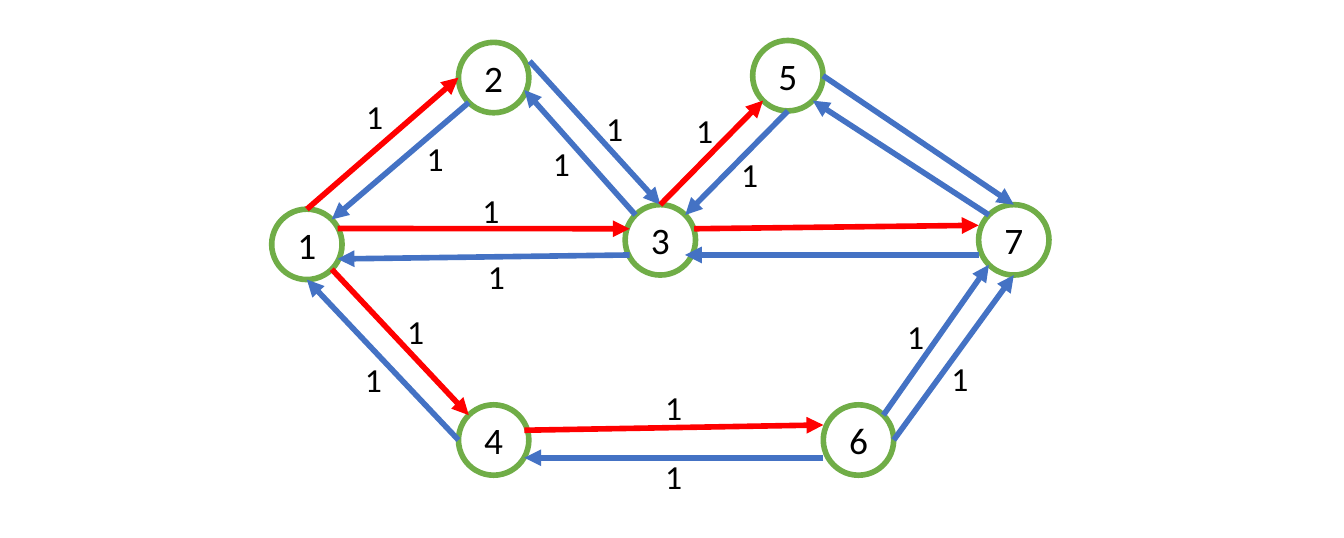
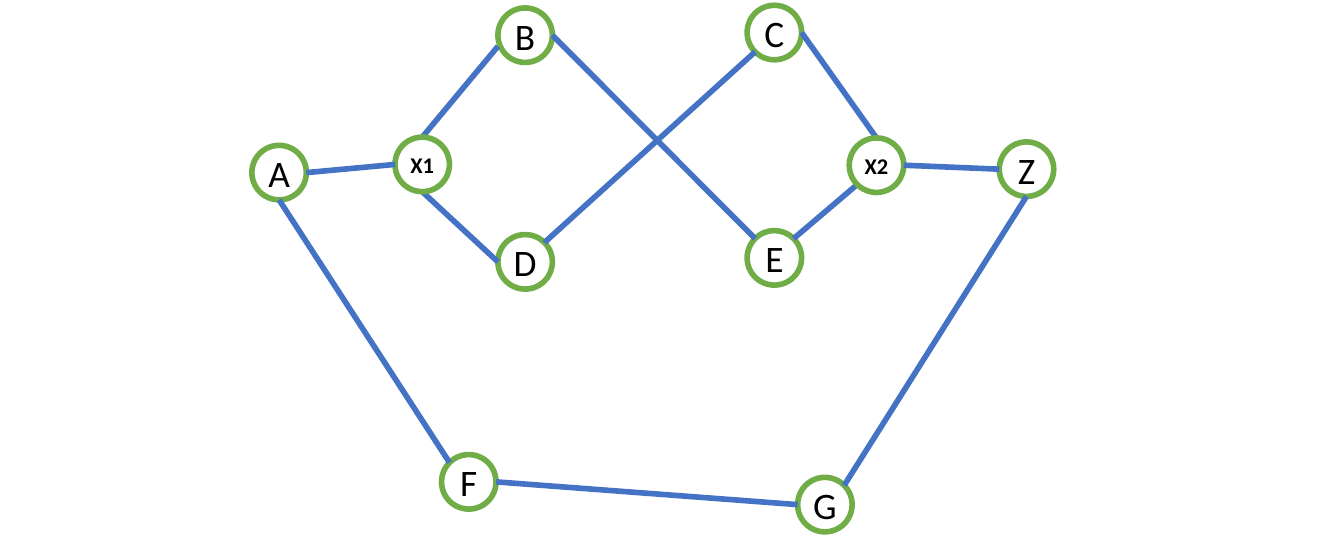
from dataclasses import dataclass
from math import sqrt

from lxml import etree
from pptx import Presentation
from pptx.dml.color import RGBColor
from pptx.enum import shapes, text
from pptx.oxml.ns import qn
from pptx import util as u


@dataclass(frozen=True)
class Theme:
    font: str = "Calibri"
    ink: RGBColor = RGBColor(0x00, 0x00, 0x00)
    paper: RGBColor = RGBColor(0xFF, 0xFF, 0xFF)
    ring: RGBColor = RGBColor(0x70, 0xAD, 0x47)
    blue: RGBColor = RGBColor(0x44, 0x72, 0xC4)
    red: RGBColor = RGBColor(0xFF, 0x00, 0x00)
    stroke: float = 6
    node_size: float = 40
    small_node_size: float = 24
    label_size: float = 36


THEME = Theme()

# Unit directions from a node's centre to the points on its ring
DIAGONAL = 1 / sqrt(2)
COMPASS = {
    "n": (0, -1), "ne": (DIAGONAL, -DIAGONAL),
    "e": (1, 0), "se": (DIAGONAL, DIAGONAL),
    "s": (0, 1), "sw": (-DIAGONAL, DIAGONAL),
    "w": (-1, 0), "nw": (-DIAGONAL, -DIAGONAL),
}

# Weighted graph: node centres in cm
WEIGHTED_RADIUS = 1.33
WEIGHTED_NODES = {
    "2": (18.66, 2.93), "7": (38.32, 9.06), "3": (24.96, 9.06),
    "4": (18.66, 16.62), "5": (29.78, 2.86), "1": (11.6, 9.23),
    "6": (32.45, 16.62),
}
# Start, its exit, end, its entry, colour, corner of the weight label.
# An exit or entry is a compass point or an offset from the centre in cm.
WEIGHTED_EDGES = [
    ("3", (1.28, -0.42), "7", (-1.33, -0.55), THEME.red, None),
    ("1", (1.16, -0.6), "3", (-1.16, -0.42), THEME.red, (17.98, 7.06)),
    ("3", (-1.16, 0.57), "1", (1.16, 0.55), THEME.blue, (18.19, 9.53)),
    ("7", (-1.33, 0.57), "3", (0.93, 0.57), THEME.blue, None),
    ("5", "e", "7", "n", THEME.blue, None),
    ("7", "nw", "5", "se", THEME.blue, None),
    ("2", (1.36, -0.62), "3", "n", THEME.blue, (22.66, 3.94)),
    ("3", "nw", "2", (1.16, 0.47), THEME.blue, (20.65, 5.26)),
    ("1", "n", "2", "w", THEME.red, (13.59, 3.51)),
    ("2", "sw", "1", "ne", THEME.blue, (15.88, 5.08)),
    ("1", "se", "4", "nw", THEME.red, (15.14, 11.63)),
    ("4", "w", "1", "s", THEME.blue, (13.54, 13.44)),
    ("4", (1.16, -0.37), "6", (-1.33, -0.57), THEME.red, (24.89, 14.5)),
    ("6", (-1.33, 0.67), "4", (1.16, 0.67), THEME.blue, (24.89, 17.09)),
    ("6", "ne", "7", "sw", THEME.blue, (34.04, 11.81)),
    ("6", "e", "7", "s", THEME.blue, (35.71, 13.41)),
    ("3", "n", "5", "sw", THEME.red, (26.06, 4.01)),
    ("5", "s", "3", "ne", THEME.blue, (27.76, 5.69)),
]

# Lettered graph: outer nodes, and two crossings drawn above their edges
LETTER_RADIUS = 1.03
LETTER_NODES = {
    "B": (19.85, 1.33), "E": (29.27, 9.74), "D": (19.85, 9.89),
    "A": (10.55, 6.52), "Z": (38.8, 6.39), "C": (29.27, 1.23),
    "F": (17.72, 18.2), "G": (31.18, 19.06),
}
CROSSING_NODES = {"X1": (15.96, 6.21), "X2": (33.13, 6.24)}
LETTER_EDGES = [
    ("X1", "n", "B", (-1.03, 0.42)), ("X1", "s", "D", "w"),
    ("B", "e", "E", "nw"), ("D", "ne", "C", "sw"),
    ("C", "e", "X2", "n"), ("E", "ne", "X2", "sw"),
    ("A", "s", "F", "nw"), ("F", "e", "G", "w"), ("G", "ne", "Z", "s"),
]
CROSSING_EDGES = [("A", "e", "X1", "w"), ("X2", "e", "Z", "w")]


def write(frame, words, size, align, bold=False):
    para = frame.paragraphs[0]
    para.text = words
    para.alignment = align
    para.font.name = THEME.font
    para.font.size = u.Pt(size)
    para.font.bold = bold
    para.font.color.rgb = THEME.ink


def add_nodes(page, nodes, radius, size=THEME.node_size, bold=False):
    for name, (x, y) in nodes.items():
        circle = page.shapes.add_shape(
            shapes.MSO_SHAPE.OVAL, u.Cm(x - radius), u.Cm(y - radius),
            u.Cm(2 * radius), u.Cm(2 * radius))
        circle.shadow.inherit = False
        circle.fill.solid()
        circle.fill.fore_color.rgb = THEME.paper
        circle.line.color.rgb = THEME.ring
        circle.line.width = u.Pt(THEME.stroke)
        circle.text_frame.vertical_anchor = text.MSO_ANCHOR.MIDDLE
        write(circle.text_frame, name, size, text.PP_ALIGN.CENTER, bold)


def edge_point(centre, radius, side):
    """Return the point that a compass name or an offset marks on a node."""
    if side in COMPASS:
        side = [radius * part for part in COMPASS[side]]
    return [u.Cm(middle + shift) for middle, shift in zip(centre, side)]


def add_edge(page, nodes, radius, edge, color=THEME.blue, arrow=False):
    start, leaving, end, entering = edge
    line = page.shapes.add_connector(
        shapes.MSO_CONNECTOR.STRAIGHT,
        *edge_point(nodes[start], radius, leaving),
        *edge_point(nodes[end], radius, entering))
    line.line.color.rgb = color
    line.line.width = u.Pt(THEME.stroke)
    if arrow:
        etree.SubElement(line.line._get_or_add_ln(), qn("a:tailEnd"), type="triangle")
    etree.SubElement(line._element.spPr, qn("a:effectLst"))


def add_weight(page, left, top):
    box = page.shapes.add_textbox(u.Cm(left), u.Cm(top), u.Cm(1.17), u.Cm(1.8))
    box.text_frame.word_wrap = False
    box.text_frame.auto_size = text.MSO_AUTO_SIZE.SHAPE_TO_FIT_TEXT
    write(box.text_frame, "1", THEME.label_size, text.PP_ALIGN.LEFT)


def add_weighted_graph(page):
    add_nodes(page, WEIGHTED_NODES, WEIGHTED_RADIUS)
    for *edge, color, _ in WEIGHTED_EDGES:
        add_edge(page, WEIGHTED_NODES, WEIGHTED_RADIUS, edge, color, arrow=True)
    for *_, corner in WEIGHTED_EDGES:
        if corner:
            add_weight(page, *corner)


def add_lettered_graph(page):
    nodes = {**LETTER_NODES, **CROSSING_NODES}
    add_nodes(page, LETTER_NODES, LETTER_RADIUS)
    for edge in LETTER_EDGES:
        add_edge(page, nodes, LETTER_RADIUS, edge)
    add_nodes(page, CROSSING_NODES, LETTER_RADIUS, THEME.small_node_size, bold=True)
    for edge in CROSSING_EDGES:
        add_edge(page, nodes, LETTER_RADIUS, edge)


def main():
    deck = Presentation()
    deck.slide_width, deck.slide_height = u.Cm(50.8), u.Cm(20.32)
    blank = deck.slide_layouts.get_by_name("Blank")
    for add_graph in (add_weighted_graph, add_lettered_graph):
        add_graph(deck.slides.add_slide(blank))
    deck.save("out.pptx")


if __name__ == "__main__":
    main()
